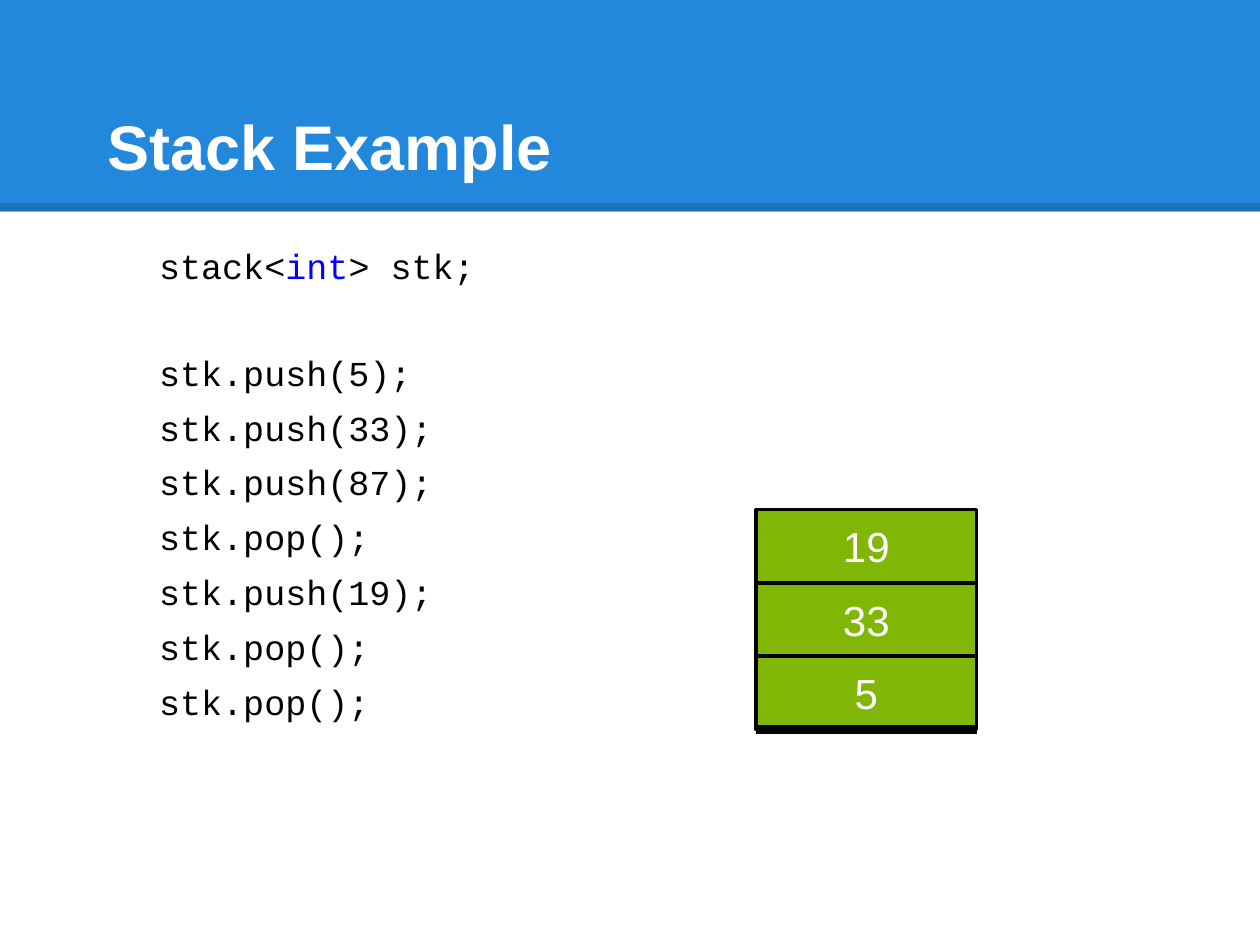
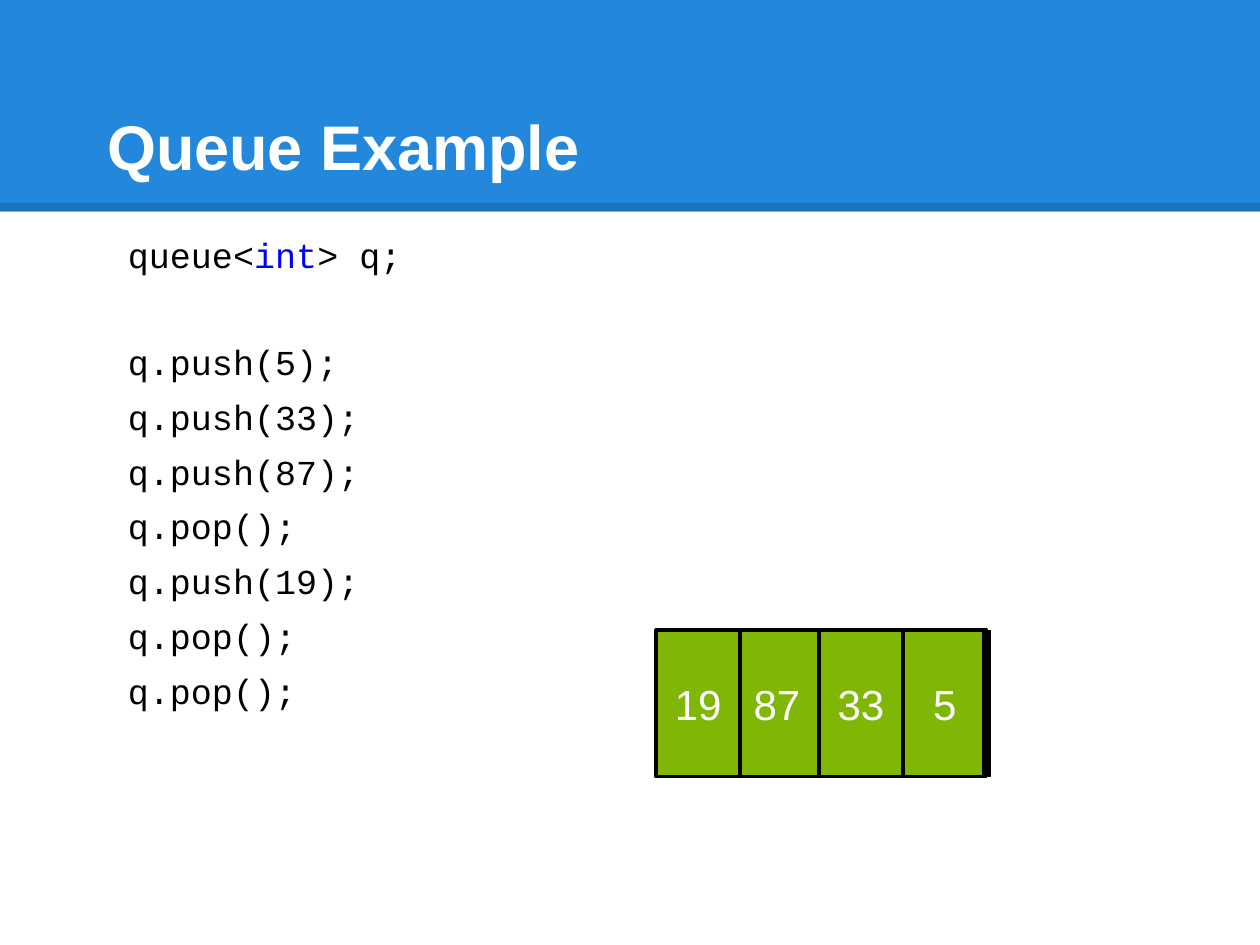
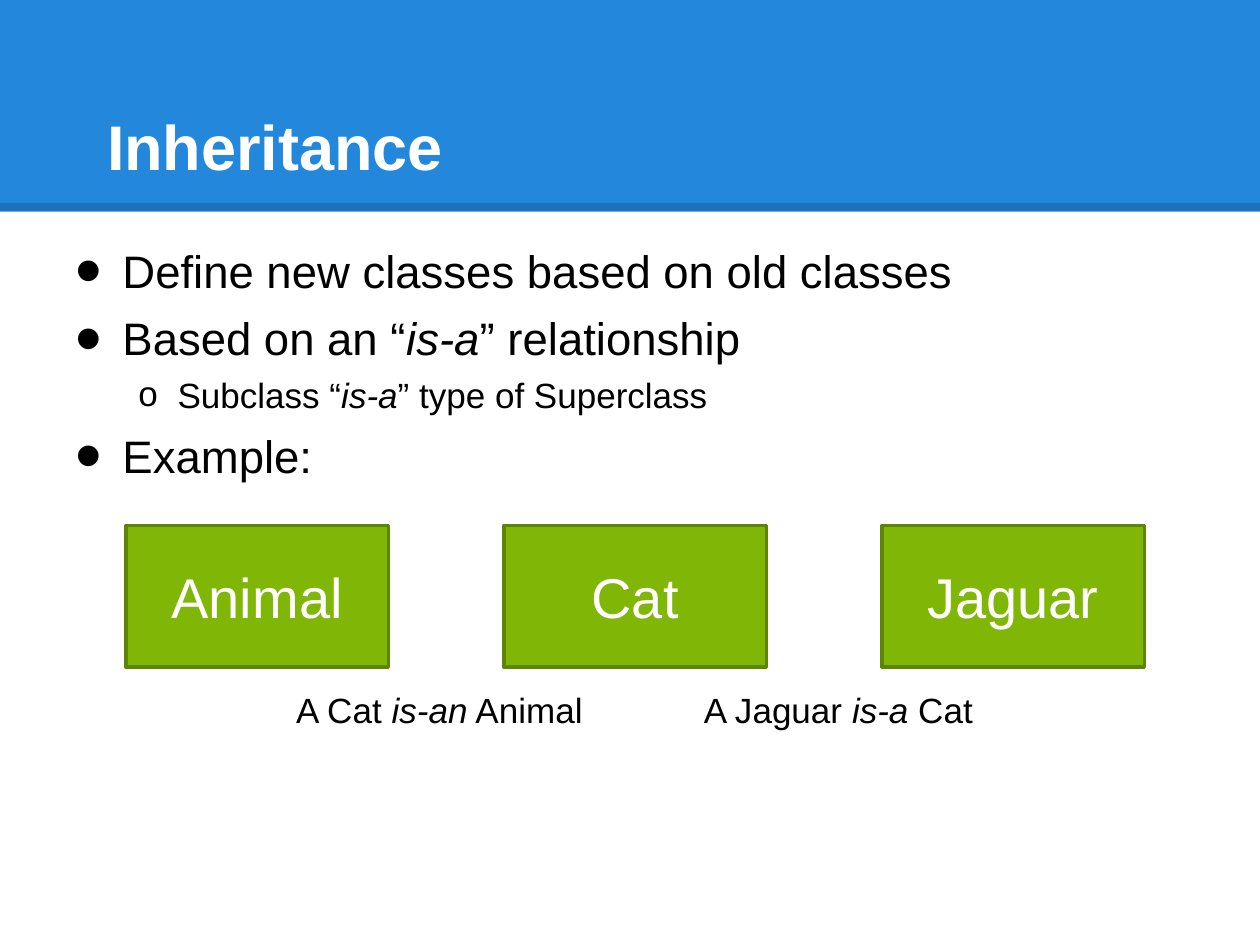
from dataclasses import dataclass

from lxml.etree import SubElement as Sub
from pptx import Presentation
from pptx.dml.color import RGBColor as Rgb
from pptx.enum.shapes import MSO_CONNECTOR as Conn, MSO_SHAPE as Shape
from pptx.enum.text import MSO_ANCHOR as Anchor, PP_ALIGN as Align
from pptx.oxml.ns import qn
from pptx.util import Cm, Pt


@dataclass(frozen=True)
class Theme:
    band: str = "2388DB"
    block: str = "80B606"
    edge: str = "5D8504"
    ink: str = "000000"
    paper: str = "FFFFFF"
    key: str = "0000FF"
    sans: str = "Arial"
    mono: str = "Courier New"
    title: int = 36
    label: int = 32
    lead: int = 26
    cell: int = 24
    text: int = 20
    gap: float = 7.3
    jump: float = 37.3


class Deck:
    """Holds the theme and the current slide, and draws each kind of element."""

    def __init__(self, theme):
        self.theme = theme
        self.prs = Presentation()
        self.prs.slide_width, self.prs.slide_height = Cm(25.4), Cm(19.05)

    def start(self, title):
        t = self.theme
        self.slide = self.prs.slides.add_slide(self.prs.slide_layouts[6])
        self.rect(0, 0, 25.4, 4.27, t.band)
        self.line(0, 4.17, 25.4, 4.17, 4.5, 15)
        frame = self.box(1.27, 0.76, 22.86, 3.18)
        frame.vertical_anchor = Anchor.BOTTOM
        para = frame.paragraphs[0]
        self.indent(para, 0, 0.64)
        self.run(para, title, t.title, t.paper, bold=True)

    def rect(self, left, top, width, height, fill, edge=None):
        shape = self.slide.shapes.add_shape(
            Shape.RECTANGLE, Cm(left), Cm(top), Cm(width), Cm(height))
        shape.shadow.inherit = False
        shape.fill.solid()
        shape.fill.fore_color.rgb = Rgb.from_string(fill)
        if edge:
            shape.line.color.rgb = Rgb.from_string(edge)
            shape.line.width = Pt(2)
        else:
            shape.line.fill.background()
        return shape

    def block(self, left, top, width, height, label, size, edge):
        frame = self.rect(left, top, width, height, self.theme.block, edge).text_frame
        frame.word_wrap = True
        frame.vertical_anchor = Anchor.MIDDLE
        para = frame.paragraphs[0]
        para.alignment = Align.CENTER
        self.run(para, label, size, self.theme.paper)

    def line(self, x1, y1, x2, y2, width, alpha=None):
        line = self.slide.shapes.add_connector(
            Conn.STRAIGHT, Cm(x1), Cm(y1), Cm(x2), Cm(y2))
        line.line.color.rgb = Rgb.from_string(self.theme.ink)
        line.line.width = Pt(width)
        props = line._element.spPr
        if alpha:
            tint = props.find(".//" + qn("a:srgbClr"))
            Sub(tint, qn("a:alpha"), val=str(alpha * 1000))
        Sub(props, qn("a:effectLst"))

    def box(self, left, top, width, height, inset=0.25):
        frame = self.slide.shapes.add_textbox(
            Cm(left), Cm(top), Cm(width), Cm(height)).text_frame
        frame.word_wrap = True
        frame.margin_left = frame.margin_right = Cm(0.25)
        frame.margin_top = frame.margin_bottom = Cm(inset)
        return frame

    def run(self, para, text, size, tint=None, face=None, bold=False, slant=False):
        run = para.add_run()
        run.text = text
        font = run.font
        font.name, font.size = face or self.theme.sans, Pt(size)
        font.bold, font.italic = bold, slant
        font.color.rgb = Rgb.from_string(tint or self.theme.ink)

    def mixed(self, para, parts, size):
        for i, part in enumerate(parts):
            self.run(para, part, size, slant=i % 2 == 1)

    def indent(self, para, left, first):
        props = para._p.get_or_add_pPr()
        props.set("marL", str(Cm(left)))
        props.set("indent", str(Cm(first)))
        return props

    def bullet(self, para, mark, scale, left, first):
        props = self.indent(para, left, first)
        Sub(Sub(props, qn("a:buClr")), qn("a:srgbClr"), val=self.theme.ink)
        Sub(props, qn("a:buSzPct"), val=str(scale * 1000))
        Sub(props, qn("a:buFont"), typeface=self.theme.sans)
        Sub(props, qn("a:buChar"), char=mark)

    def code(self, left, top, width, height, kind, name):
        t = self.theme
        frame = self.box(left, top, width, height)
        para = frame.paragraphs[0]
        for part, tint in ((f"{kind}<", t.ink), ("int", t.key), (f"> {name};", t.ink)):
            self.run(para, part, t.text, tint, t.mono)
        calls = ("push(5)", "push(33)", "push(87)", "pop()", "push(19)", "pop()", "pop()")
        for i, call in enumerate(calls):
            para = frame.add_paragraph()
            para.space_before = Pt(t.gap if i else t.jump)
            self.run(para, f"{name}.{call};", t.text, face=t.mono)

    def points(self, left, top, width, height, items):
        t = self.theme
        frame = self.box(left, top, width, height)
        for i, (level, parts) in enumerate(items):
            para = frame.add_paragraph() if i else frame.paragraphs[0]
            para.level = level
            if i:
                para.space_before = Pt(4.8 if level else t.gap)
            style = ("o", 100, 2.06, -0.79) if level else ("•", 167, 0.95, -0.95)
            self.bullet(para, *style)
            self.mixed(para, parts, t.text if level else t.lead)


def stack(deck):
    t = deck.theme
    deck.start("Stack Example")
    deck.code(2.96, 4.67, 7, 10.03, "stack", "stk")
    left, base, width, height = 15.24, 14.71, 4.45, 1.48
    for i, label in enumerate(("5", "33", "19"), 1):
        deck.block(left, base - i * height, width, height, label, t.cell, t.ink)
    deck.line(left, base, left + width, base, 5)


def queue(deck):
    t = deck.theme
    deck.start("Queue Example")
    deck.code(2.33, 4.45, 7.62, 10.36, "queue", "q")
    top, width, height = 12.7, 1.69, 2.96
    for left, label in ((18.2, "5"), (16.51, "33"), (14.82, "87"), (13.23, "19")):
        deck.block(left, top, width, height, label, t.cell, t.ink)
    deck.line(19.89, top, 19.89, top + height, 5)


def classes(deck):
    t = deck.theme
    deck.start("Inheritance")
    deck.points(1.27, 4.65, 23.29, 6.99, (
        (0, ("Define new classes based on old classes",)),
        (0, ("Based on an “", "is-a", "” relationship")),
        (1, ("Subclass “", "is-a", "” type of Superclass")),
        (0, ("Example:",)),
    ))
    for i, label in enumerate(("Animal", "Cat", "Jaguar")):
        deck.block(2.54 + i * 7.62, 10.59, 5.29, 2.86, label, t.label, t.edge)
    for left, width, parts in (
        (5.72, 6.4, ("A Cat ", "is-an", " Animal")),
        (13.94, 6.02, ("A Jaguar ", "is-a", " Cat")),
    ):
        frame = deck.box(left, 13.74, width, 1.12, 0.13)
        deck.mixed(frame.paragraphs[0], parts, t.text)


def main():
    deck = Deck(Theme())
    for draw in (stack, queue, classes):
        draw(deck)
    deck.prs.save("out.pptx")


if __name__ == "__main__":
    main()
